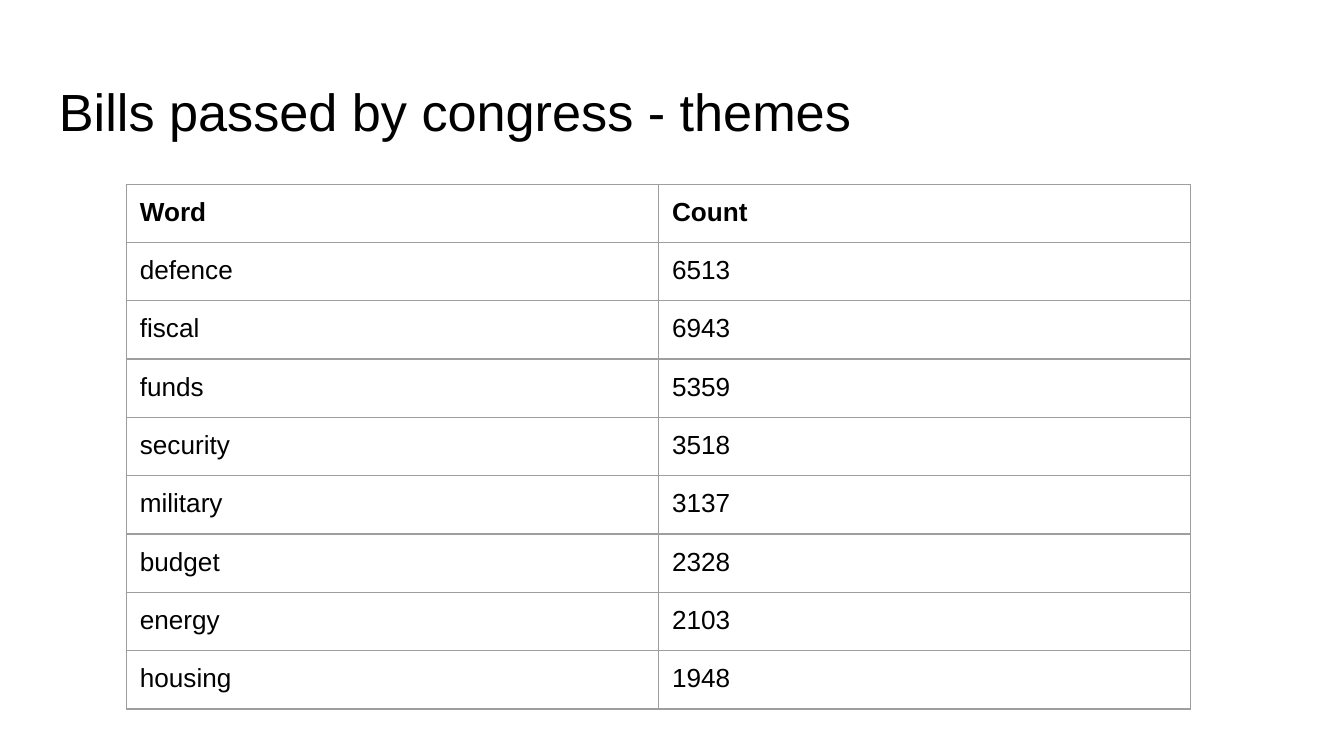
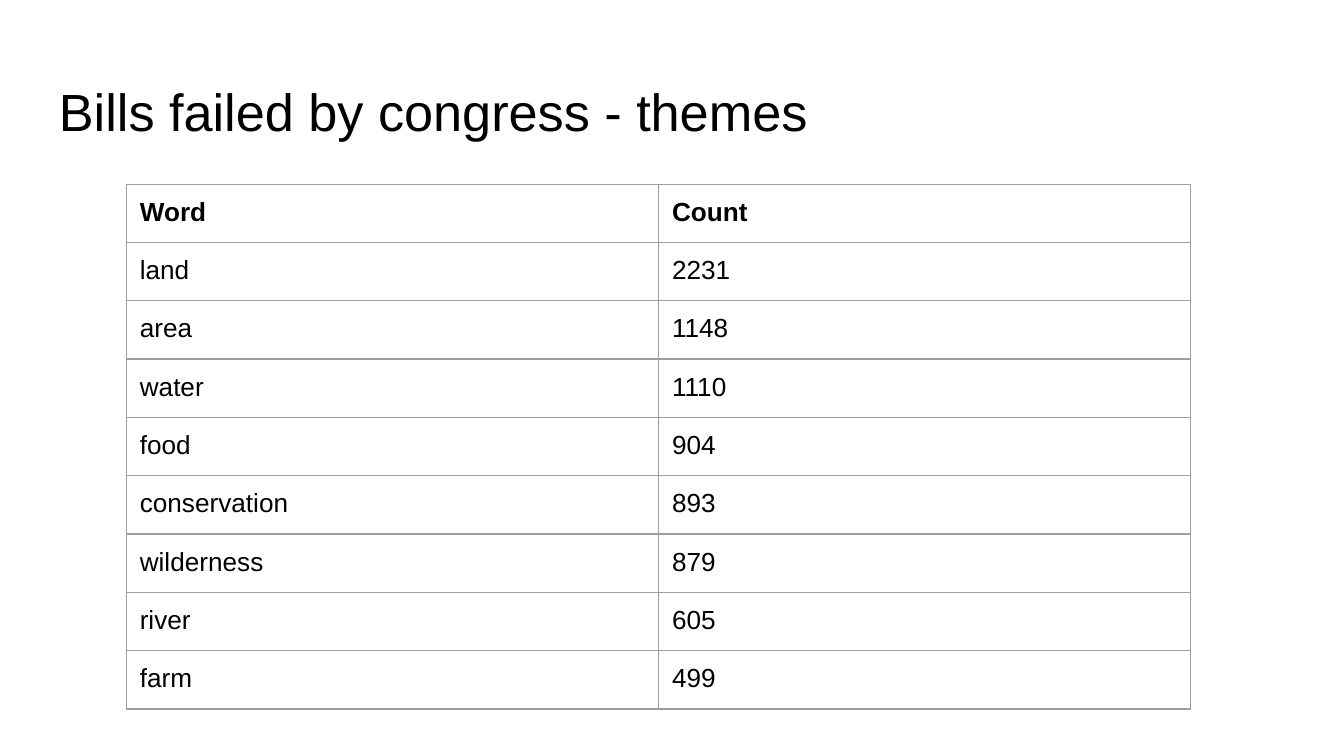
from dataclasses import dataclass

from lxml.etree import SubElement
from pptx import Presentation
from pptx.dml.color import RGBColor
from pptx.enum.text import MSO_ANCHOR
from pptx.oxml.ns import qn
from pptx.slide import Slide
from pptx.table import _Cell as Cell
from pptx.text.text import TextFrame
from pptx.util import Inches, Pt

# Shared style
FONT = "Arial"
BLACK, WHITE, GREY = "000000", "FFFFFF", "9E9E9E"
SLIDE_WIDTH = Inches(10)
SLIDE_HEIGHT = SLIDE_WIDTH * 9 // 16
INSET = Inches(0.1)
TABLE_SIZE = Inches(3.28)
COLUMN_WIDTH, ROW_HEIGHT = Inches(3.96), Inches(0.42)
BORDER_WIDTH = Pt(0.75)
HEADER = ("Word", "Count")


@dataclass(frozen=True)
class ThemeSlide:
    title: str
    counts: dict[str, int]


THEME_SLIDES = [
    ThemeSlide("Bills passed by congress - themes", {
        "defence": 6513, "fiscal": 6943, "funds": 5359, "security": 3518,
        "military": 3137, "budget": 2328, "energy": 2103, "housing": 1948,
    }),
    ThemeSlide("Bills failed by congress - themes", {
        "land": 2231, "area": 1148, "water": 1110, "food": 904,
        "conservation": 893, "wilderness": 879, "river": 605, "farm": 499,
    }),
]


def color(value: str) -> RGBColor:
    return RGBColor.from_string(value)


def set_insets(target: TextFrame | Cell) -> None:
    target.margin_left = target.margin_right = INSET
    target.margin_top = target.margin_bottom = INSET


def write(frame: TextFrame, text: str, *, size: int, bold: bool = False) -> None:
    run = frame.paragraphs[0].add_run()
    run.text = text
    run.font.name, run.font.size, run.font.bold = FONT, Pt(size), bold
    run.font.color.rgb = color(BLACK)


def add_title(slide: Slide, text: str) -> None:
    box = slide.shapes.add_textbox(Inches(0.34), Inches(0.49), Inches(9.32), Inches(0.63))
    frame = box.text_frame
    frame.word_wrap = True
    set_insets(frame)
    write(frame, text, size=28)


def set_borders(cell: Cell) -> None:
    properties = cell._tc.get_or_add_tcPr()
    for index, side in enumerate(("lnL", "lnR", "lnT", "lnB")):
        line = properties.makeelement(qn(f"a:{side}"), {"w": str(BORDER_WIDTH)})
        fill = SubElement(line, qn("a:solidFill"))
        SubElement(fill, qn("a:srgbClr"), val=GREY)
        # Borders come before the cell fill
        properties.insert(index, line)


def add_count_table(slide: Slide, counts: dict[str, int]) -> None:
    rows = [HEADER, *counts.items()]
    frame = slide.shapes.add_table(
        len(rows), len(HEADER), Inches(0.94), Inches(1.37), TABLE_SIZE, TABLE_SIZE)
    table = frame.table
    table.first_row = table.horz_banding = False
    for column in table.columns:
        column.width = COLUMN_WIDTH
    for row_index, row in enumerate(rows):
        table.rows[row_index].height = ROW_HEIGHT
        for column_index, value in enumerate(row):
            cell = table.cell(row_index, column_index)
            set_insets(cell)
            cell.vertical_anchor = MSO_ANCHOR.TOP
            cell.fill.background()
            set_borders(cell)
            write(cell.text_frame, str(value), size=14, bold=row_index == 0)
    # Resizing columns and rows changes the frame, so its size is set last
    frame.width = frame.height = TABLE_SIZE


def main() -> None:
    presentation = Presentation()
    presentation.slide_width, presentation.slide_height = SLIDE_WIDTH, SLIDE_HEIGHT
    blank_layout = presentation.slide_layouts[6]
    for content in THEME_SLIDES:
        slide = presentation.slides.add_slide(blank_layout)
        slide.background.fill.solid()
        slide.background.fill.fore_color.rgb = color(WHITE)
        add_title(slide, content.title)
        add_count_table(slide, content.counts)
    presentation.save("out.pptx")


if __name__ == "__main__":
    main()
